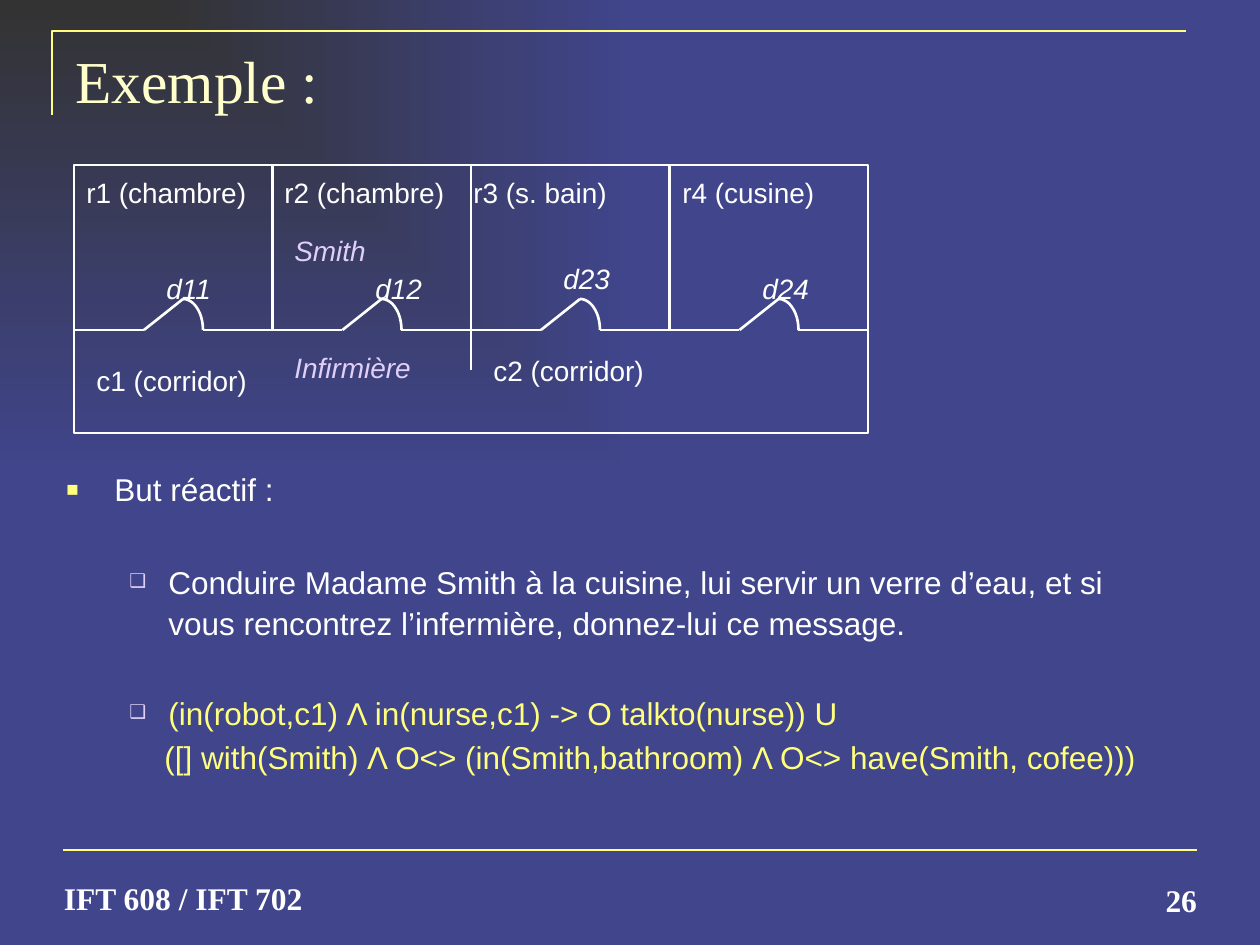
import math

import pptx
import pptx.dml.color
import pptx.enum.shapes
import pptx.enum.text
import pptx.oxml
import pptx.oxml.ns
import pptx.util
from lxml import etree

RGBColor = pptx.dml.color.RGBColor
ALIGN = pptx.enum.text.PP_ALIGN
ANCHOR = pptx.enum.text.MSO_ANCHOR
qn = pptx.oxml.ns.qn

DARK = RGBColor(0x33, 0x33, 0x33)
BLUE = RGBColor(0x40, 0x45, 0x8C)
WHITE = RGBColor(0xFF, 0xFF, 0xFF)
YELLOW = RGBColor(0xFF, 0xFF, 0x7D)
CREAM = RGBColor(0xFF, 0xFF, 0xCC)
LILAC = RGBColor(0xE0, 0xD0, 0xF8)

SERIF, SANS = "Times New Roman", "Arial"
PX_PER_INCH = 126


def px(n):
    return pptx.util.Emu(round(n * 914400 / PX_PER_INCH))


def format_font(font, size, color, name=SANS, **extra):
    for key, value in dict(size=pptx.util.Pt(size), name=name, **extra).items():
        setattr(font, key, value)
    font.color.rgb = color


def format_frame(tf, inset=None, **extra):
    for key, value in extra.items():
        setattr(tf, key, value)
    if inset is not None:
        for side in ("left", "top", "right", "bottom"):
            setattr(tf, f"margin_{side}", px(inset))


def add_text(slide, box, text, size, color, align=ALIGN.LEFT, inset=None,
             wrap=False, anchor=ANCHOR.TOP, **font):
    tf = slide.shapes.add_textbox(*map(px, box)).text_frame
    format_frame(tf, inset, word_wrap=wrap, vertical_anchor=anchor)
    p = tf.paragraphs[0]
    p.alignment = align
    r = p.add_run()
    r.text = text
    format_font(r.font, size, color, **font)


def set_line(sp, color):
    sp.line.color.rgb = color
    sp.line.width = pptx.util.Pt(1.5)


def add_line(slide, x1, y1, x2, y2, color=WHITE):
    line = slide.shapes.add_connector(
        pptx.enum.shapes.MSO_CONNECTOR.STRAIGHT, *map(px, (x1, y1, x2, y2)))
    set_line(line, color)
    etree.SubElement(line._element.spPr, qn("a:effectLst"))


def add_polyline(slide, points, color=WHITE):
    start, *rest = [(px(x), px(y)) for x, y in points]
    builder = slide.shapes.build_freeform(*start)
    builder.add_line_segments(rest, close=False)
    sp = builder.convert_to_shape()
    sp.fill.background()
    sp.shadow.inherit = False
    set_line(sp, color)


def set_background(slide):
    """Gradient spreading from the top left corner."""
    fill = slide.background.fill
    fill.gradient()
    for stop, color in zip(fill.gradient_stops, (DARK, BLUE)):
        stop.color.rgb = color
    grad = slide._element.find(".//" + qn("a:gradFill"))
    grad.remove(grad.find(qn("a:lin")))
    spread = etree.SubElement(grad, qn("a:path"), {"path": "rect"})
    etree.SubElement(spread, qn("a:fillToRect"), {"r": "100000", "b": "100000"})


def add_header(slide, x, y, w, h):
    add_polyline(slide, [(x, y + h), (x, y), (x + w, y)], YELLOW)
    title = slide.shapes.title
    place = dict(left=x + 11, top=y + 7, width=w - 1, height=157)
    for key, value in place.items():
        setattr(title, key, px(value))
    tf = title.text_frame
    format_frame(tf, text="Exemple :", vertical_anchor=ANCHOR.TOP)
    p = tf.paragraphs[0]
    p.alignment = ALIGN.LEFT
    format_font(p.runs[0].font, 34, CREAM, SERIF)


def add_footer(slide, x, y, w):
    add_line(slide, x, y, x + w, y, YELLOW)
    style = dict(size=18, color=WHITE, name=SERIF, bold=True, inset=0)
    add_text(slide, (x + 1, y + 29, 258, 39), "IFT 608 / IFT 702", **style)
    add_text(slide, (x + w - 91, y + 29, 91, 40), "26", align=ALIGN.RIGHT,
             anchor=ANCHOR.BOTTOM, wrap=True, **style)


def add_door_wall(slide, x, y, w):
    """Wall of one room with its open door."""
    hinge, top, latch, rise = x + 70, x + 109, x + 129, 31
    add_line(slide, x, y, hinge, y)
    add_line(slide, latch, y, x + w, y)
    add_line(slide, hinge, y, top, y - rise)
    angles = [math.radians(a) for a in range(0, 91, 5)]
    add_polyline(slide, [(top + (latch - top) * math.sin(a),
                          y - rise * math.cos(a)) for a in angles])


def add_floor_plan(slide, x, y, w, h):
    sp = slide.shapes.add_shape(
        pptx.enum.shapes.MSO_SHAPE.RECTANGLE, *map(px, (x, y, w, h)))
    sp.fill.background()
    sp.shadow.inherit = False
    set_line(sp, WHITE)

    rooms, depth = 4, 165
    room = w / rooms
    for i in range(rooms):
        add_door_wall(slide, x + i * room, y + depth, room)
    for i, length in enumerate((depth, 205, depth), 1):
        add_line(slide, x + i * room, y, x + i * room, y + length)

    labels = [
        ("r1 (chambre)", 0, 4, 186, WHITE, False),
        ("r2 (chambre)", 198, 4, 186, WHITE, False),
        ("r3 (s. bain)", 387, 4, 160, WHITE, False),
        ("r4 (cusine)", 596, 4, 158, WHITE, False),
        ("c1 (corridor)", 10, 192, 176, WHITE, False),
        ("c2 (corridor)", 407, 182, 176, WHITE, False),
        ("Smith", 208, 62, 97, LILAC, True),
        ("Infirmière", 208, 179, 142, LILAC, True),
        ("d11", 80, 100, 72, WHITE, True),
        ("d12", 289, 100, 72, WHITE, True),
        ("d23", 477, 90, 72, WHITE, True),
        ("d24", 676, 100, 72, WHITE, True),
    ]
    for text, dx, dy, width, color, italic in labels:
        add_text(slide, (x + dx, y + dy, width, 47), text, 16, color,
                 italic=italic)


def set_bullet(p, margin, indent, char, color, percent):
    pPr = p._p.get_or_add_pPr()
    pPr.set("marL", str(px(margin)))
    pPr.set("indent", str(px(indent)))
    if not char:
        etree.SubElement(pPr, qn("a:buNone"))
        return
    clr = etree.SubElement(pPr, qn("a:buClr"))
    etree.SubElement(clr, qn("a:srgbClr"), val=str(color))
    etree.SubElement(pPr, qn("a:buSzPct"), val=str(percent * 1000))
    etree.SubElement(pPr, qn("a:buFont"), typeface=SANS)
    etree.SubElement(pPr, qn("a:buChar"), char=char)


def add_goal(slide, x, y, w, h):
    tf = slide.shapes.add_textbox(*map(px, (x, y, w, h))).text_frame
    tf.word_wrap = True
    first = (48, -48, "■", YELLOW, 65)
    second = (102, -39, "❑", LILAC, 60)
    continued = (98, 0, None, None, None)
    items = [
        ("But réactif :", first, WHITE, 0, 1, 0),
        ("Conduire Madame Smith à la cuisine, lui servir un verre d’eau, et si "
         "vous rencontrez l’infermière, donnez-lui ce message.",
         second, WHITE, 29, 1.1, 1),
        ("(in(robot,c1) Λ in(nurse,c1) -> O talkto(nurse)) U",
         second, YELLOW, 29.5, 1, 1),
        ("([] with(Smith) Λ O<> (in(Smith,bathroom) Λ O<> have(Smith, cofee)))",
         continued, YELLOW, 4, 1, 1),
    ]
    for i, (text, bullet, color, before, spacing, level) in enumerate(items):
        p = tf.add_paragraph() if i else tf.paragraphs[0]
        set_bullet(p, *bullet)
        p.level = level
        p.line_spacing = spacing
        p.space_before = pptx.util.Pt(before)
        r = p.add_run()
        r.text = text
        format_font(r.font, 18, color)


def main():
    prs = pptx.Presentation()
    prs.slide_width, prs.slide_height = px(1260), px(945)
    slide = prs.slides.add_slide(prs.slide_layouts[5])
    set_background(slide)
    add_header(slide, 52, 31, 1134, 84)
    add_footer(slide, 63, 850, 1134)
    add_goal(slide, 54, 464, 1133, 358)
    add_floor_plan(slide, 74, 165, 794, 268)
    prs.save("out.pptx")


if __name__ == "__main__":
    main()
